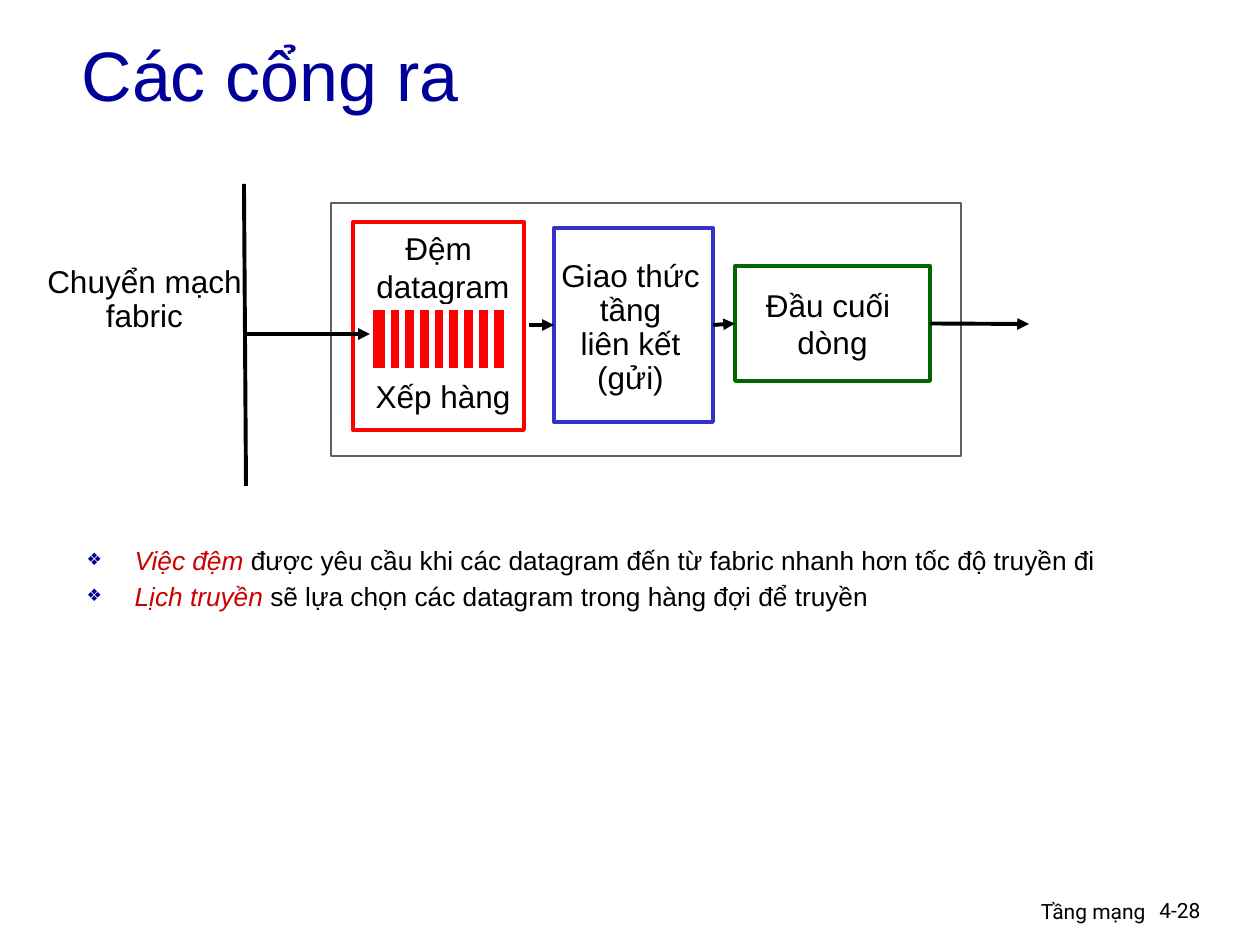
from pptx import Presentation
from pptx import util as u
from pptx.dml.color import RGBColor
from pptx.enum import shapes, text
from pptx.oxml.ns import qn
from lxml import etree

COLORS = {
    "ink": "000000", "paper": "FFFFFF", "navy": "000099", "accent": "CC0000",
    "frame": "5F5F5F", "queue": "FF0000", "link": "3333CC", "line_end": "006600",
}
ALIGN = text.PP_ALIGN


def px(length):
    return u.Emu(round(length * 914400 / 126))


def rgb(name):
    return RGBColor.from_string(COLORS[name])


class SlideBuilder:
    font = "Arial"
    label_size = 18
    stroke = 2.25

    def __init__(self, slide):
        self.slide = slide
        self.canvas = slide.shapes

    def open_group(self):
        self.canvas = self.slide.shapes.add_group_shape().shapes

    def close_group(self):
        self.canvas = self.slide.shapes

    def run(self, paragraph, words, size, color="ink", font=None, italic=False):
        run = paragraph.add_run()
        run.text = words
        run.font.size = u.Pt(size)
        run.font.name = font or self.font
        run.font.color.rgb = rgb(color)
        run.font.italic = italic

    def lines(self, frame, rows, spacing=1.0):
        for index, words in enumerate(rows):
            paragraph = frame.paragraphs[0] if index == 0 else frame.add_paragraph()
            paragraph.alignment = ALIGN.CENTER
            paragraph.line_spacing = spacing
            self.run(paragraph, words, self.label_size)

    def place(self, item, box):
        item.left, item.top, item.width, item.height = map(px, box)

    def title(self, words, box):
        heading = self.slide.shapes.title
        self.place(heading, box)
        frame = heading.text_frame
        frame.auto_size = text.MSO_AUTO_SIZE.NONE
        frame.vertical_anchor = text.MSO_ANCHOR.MIDDLE
        frame.paragraphs[0].alignment = ALIGN.LEFT
        self.run(frame.paragraphs[0], words, 40, "navy")

    def bullets(self, items, box):
        body = self.slide.placeholders[1]
        self.place(body, box)
        frame = body.text_frame
        frame.auto_size = text.MSO_AUTO_SIZE.NONE
        for index, (term, rest) in enumerate(items):
            paragraph = frame.paragraphs[0] if index == 0 else frame.add_paragraph()
            paragraph.line_spacing = 0.8
            paragraph.space_before = u.Pt(6)
            props = paragraph._p.get_or_add_pPr()
            props.set("marL", str(px(48)))
            props.set("indent", str(px(-48)))
            color = etree.SubElement(props, qn("a:buClr"))
            etree.SubElement(color, qn("a:srgbClr"), val=COLORS["navy"])
            etree.SubElement(props, qn("a:buSzPct"), val="65000")
            etree.SubElement(props, qn("a:buChar"), char="❖")
            self.run(paragraph, term, 15, "accent", italic=True)
            self.run(paragraph, rest, 15)

    def rect(self, box, border=None, width=None, fill="paper", rows=(), spacing=1.0):
        block = self.canvas.add_shape(shapes.MSO_SHAPE.RECTANGLE, *map(px, box))
        block.shadow.inherit = False
        block.fill.solid()
        block.fill.fore_color.rgb = rgb(fill)
        if border:
            block.line.color.rgb = rgb(border)
            block.line.width = u.Pt(width or self.stroke)
        else:
            block.line.fill.background()
        if rows:
            block.text_frame.word_wrap = False
            block.text_frame.vertical_anchor = text.MSO_ANCHOR.MIDDLE
            self.lines(block.text_frame, rows, spacing)
        return block

    def text_box(self, box, wrap=True):
        frame = self.canvas.add_textbox(*map(px, box)).text_frame
        frame.word_wrap = wrap
        return frame

    def footer(self, words, box, align):
        paragraph = self.text_box(box).paragraphs[0]
        paragraph.alignment = align
        self.run(paragraph, words, 12, font="Roboto")

    def line(self, start, end, color="ink", width=None, arrow=False, source=None, target=None):
        link = self.canvas.add_connector(
            shapes.MSO_CONNECTOR.STRAIGHT, *map(px, (*start, *end)))
        link.line.color.rgb = rgb(color)
        link.line.width = u.Pt(width or self.stroke)
        if arrow:
            etree.SubElement(link.line._get_or_add_ln(), qn("a:tailEnd"), type="triangle")
        etree.SubElement(link._element.spPr, qn("a:effectLst"))
        if source:
            link.begin_connect(source, 3)
        if target:
            link.end_connect(target, 1)


def main():
    deck = Presentation()
    deck.slide_width, deck.slide_height = px(1260), px(945)
    page = SlideBuilder(deck.slides.add_slide(deck.slide_layouts[1]))

    page.footer("4-28", (1147, 891, 93, 38), ALIGN.LEFT)
    page.title("Các cổng ra", (69, 35, 1071, 77))
    page.bullets([
        ("Việc đệm", " được yêu cầu khi các datagram đến từ fabric nhanh hơn tốc độ truyền đi"),
        ("Lịch truyền", " sẽ lựa chọn các datagram trong hàng đợi để truyền"),
    ], (74, 544, 1071, 126))

    page.rect((331, 203, 630, 253), "frame", 1.5)
    line_end = page.rect((735, 266, 195, 115), "line_end", rows=("Đầu cuối ", "dòng"))
    link_layer = page.rect((554, 228, 159, 194), "link")
    page.line((529, 325), (554, 325), arrow=True, target=link_layer)
    page.line((713, 325), (735, 323), arrow=True, source=link_layer, target=line_end)
    page.line((930, 324), (1029, 324), arrow=True, source=line_end)
    page.rect((558, 271, 145, 115), spacing=0.9,
              rows=("Giao thức", "tầng", "liên kết", "(gửi)"))
    page.rect((72, 243, 145, 115), spacing=0.9, rows=("Chuyển mạch", "fabric"))

    page.open_group()
    page.rect((353, 222, 171, 208), "queue")
    queue_label = page.text_box((363, 223, 160, 202), wrap=False)
    page.lines(queue_label, ("Đệm ", "datagram", "Xếp hàng"))
    queue_label.paragraphs[2].space_before = u.Pt(41.4)
    page.rect((370, 307, 137, 64), "paper", 3, fill="queue")
    for slot in range(8):
        x = 388 + slot * 103 // 7
        page.line((x, 309), (x, 370), "paper", 3)
    page.close_group()

    page.line((244, 184), (246, 486))
    page.line((243, 334), (370, 334), arrow=True)
    page.footer("Tầng mạng", (759, 892, 399, 39), ALIGN.RIGHT)
    deck.save("out.pptx")


if __name__ == "__main__":
    main()
